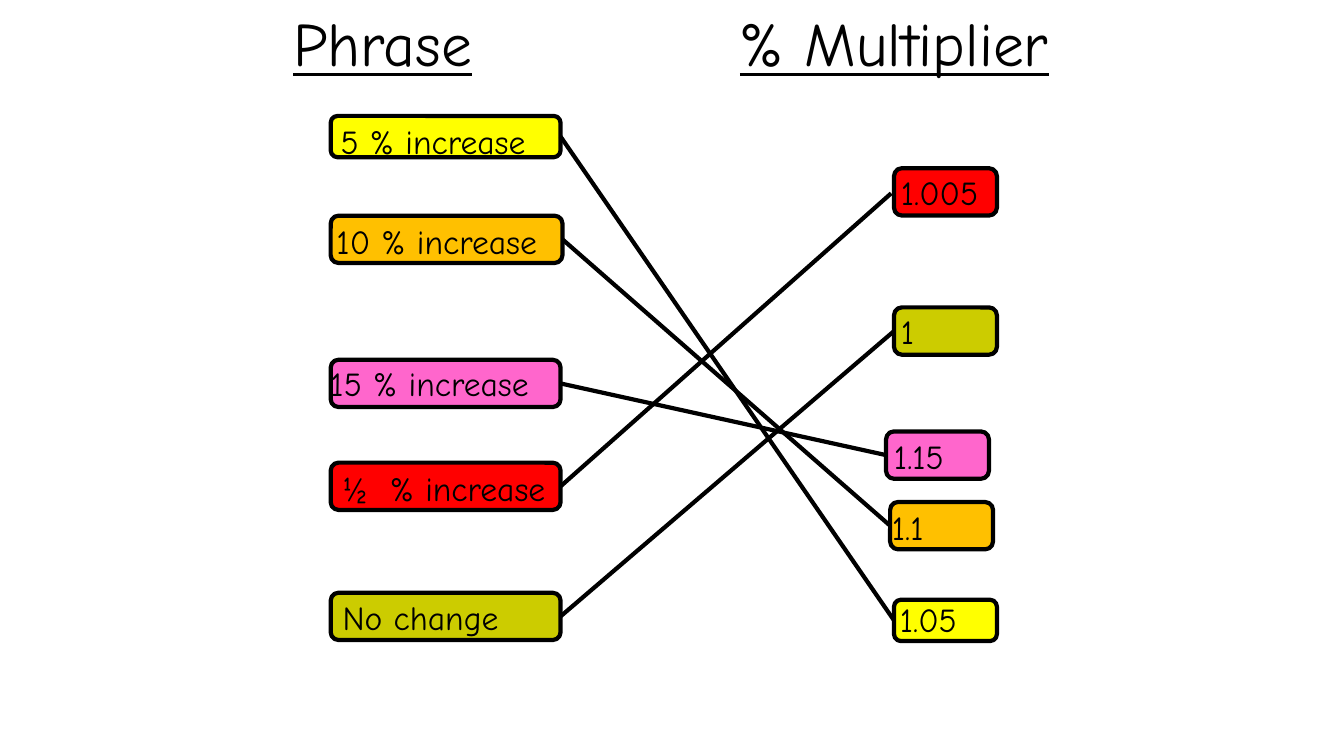
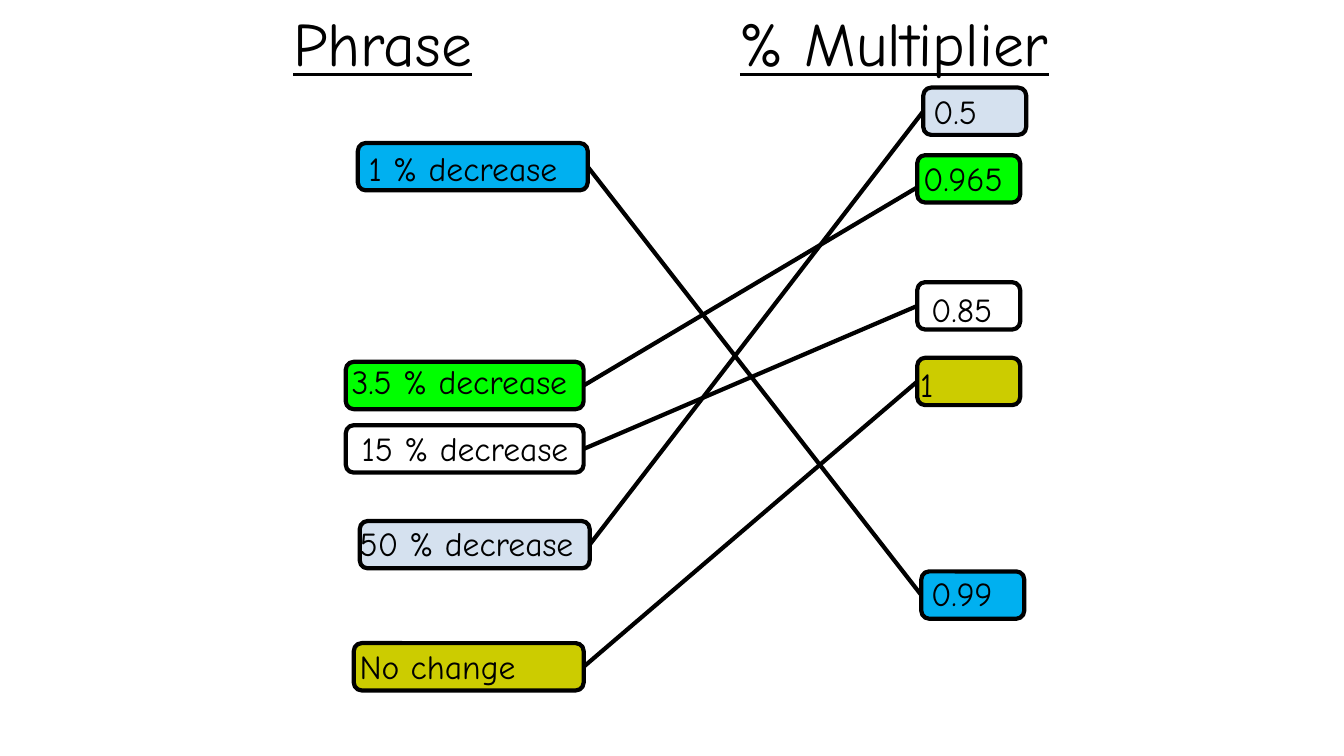
"""Builds two slides that match percentage phrases to their multipliers."""
from dataclasses import dataclass

from lxml import etree
from pptx import Presentation
from pptx import util as u
from pptx.dml.color import RGBColor
from pptx.enum import shapes, text
from pptx.oxml.ns import qn


@dataclass(frozen=True)
class Theme:
    font: str = "Comic Neue"
    ink: str = "000000"
    yellow: str = "FFFF00"
    orange: str = "FFC000"
    pink: str = "FF66CC"
    red: str = "FF0000"
    olive: str = "CCCC00"
    blue: str = "00B0F0"
    green: str = "00FF00"
    pale: str = "D5E1EF"
    heading_size: float = 44
    label_size: float = 24
    line_width: float = 3


@dataclass(frozen=True)
class Card:
    wording: str
    left: float
    top: float
    nudge: tuple = (0, 0)
    width: float = 164.2
    height: float = 33.8


@dataclass(frozen=True)
class Answer(Card):
    width: float = 73.5


@dataclass(frozen=True)
class Pair:
    fill: str | None
    phrase: Card
    answer: Answer
    end_shift: tuple | None = None


THEME = Theme()
PHRASE_LEFT = 236.2
ANSWER_LEFT = 638.6
WIDE = 169.9
SHORT = 29.5

INCREASES = [
    Pair(THEME.yellow,
         Card("5 % increase", PHRASE_LEFT, 82.8, height=SHORT),
         Answer("1.05", ANSWER_LEFT, 428.4, (-2.9, -4.3), height=SHORT)),
    Pair(THEME.orange,
         Card("10 % increase", PHRASE_LEFT, 154.1, (-2.9, 0), 165.6),
         Answer("1.1", 635.8, 358.6, (-5.8, 0))),
    Pair(THEME.pink,
         Card("15 % increase", PHRASE_LEFT, 257, (-7.2, -1.4)),
         Answer("1.15", 632.9, 308.2, (-1.4, -0.7))),
    Pair(THEME.red,
         Card("½  % increase", PHRASE_LEFT, 330.5, (1.4, 0)),
         Answer("1.005", ANSWER_LEFT, 120.2, (-2.2, -0.7)), (-2, 1)),
    Pair(THEME.olive,
         Card("No change", PHRASE_LEFT, 423.4, (1.4, -0.7)),
         Answer("1", ANSWER_LEFT, 219.6, (-2.2, -1.4))),
]

DECREASES = [
    Pair(THEME.blue,
         Card("1 % decrease", 255.6, 102.2, (0.7, 0)),
         Answer("0.99", 658.1, 408.2, (0, -2.2))),
    Pair(THEME.green,
         Card("3.5 % decrease", 247, 258.5, (-2.9, -4.3), WIDE),
         Answer("0.965", 655.2, 110.9, (-2.9, -1.4)), (0, 6)),
    Pair(None,
         Card("15 % decrease", 247, 303.8, (4.3, -1.4), WIDE),
         Answer("0.85", 655.2, 201.6, (2.9, 1.4))),
    Pair(THEME.pale,
         Card("50 % decrease", 257, 372.2, (-7.2, -2.2)),
         Answer("0.5", 659.5, 62.6, (0, -1.4))),
    Pair(THEME.olive,
         Card("No change", 252.7, 459.4, (-2.9, -1.4)),
         Answer("1", 655.2, 255.6, (-5, 0.7))),
]


def add_run(paragraph, wording, *, size, color=THEME.ink, font=THEME.font, underline=None):
    """Appends one formatted run to a paragraph."""
    run = paragraph.add_run()
    run.text = wording
    run.font.name = font
    run.font.size = u.Pt(size)
    run.font.underline = underline
    run.font.color.rgb = RGBColor.from_string(color)


class Deck:
    RIGHT_SITE = 3
    LEFT_SITE = 1

    def __init__(self, theme):
        self.theme = theme
        self.presentation = Presentation()
        self.presentation.slide_width = u.Pt(960)
        self.presentation.slide_height = u.Pt(540)
        self.slide = None

    def new_slide(self):
        self.slide = self.presentation.slides.add_slide(self.presentation.slide_layouts[6])

    def text_box(self, left, top, width, height):
        box = self.slide.shapes.add_textbox(u.Pt(left), u.Pt(top), u.Pt(width), u.Pt(height))
        box.text_frame.word_wrap = True
        box.text_frame.auto_size = text.MSO_AUTO_SIZE.SHAPE_TO_FIT_TEXT
        return box.text_frame.paragraphs[0]

    def heading(self, phrase_title, answer_title):
        paragraph = self.text_box(202.3, 0, 601.2, 60.5)
        properties = paragraph._p.get_or_add_pPr()
        tabs = etree.SubElement(properties, qn("a:tabLst"))
        etree.SubElement(tabs, qn("a:tab"), pos=str(u.Pt(319)), algn="l")
        size = self.theme.heading_size
        add_run(paragraph, phrase_title, size=size, underline=True)
        add_run(paragraph, "\t", size=size, underline=False)
        add_run(paragraph, answer_title, size=size, underline=True)

    def outline(self, line):
        line.color.rgb = RGBColor.from_string(self.theme.ink)
        line.width = u.Pt(self.theme.line_width)

    def card(self, card, fill):
        shape = self.slide.shapes.add_shape(
            shapes.MSO_SHAPE.ROUNDED_RECTANGLE,
            u.Pt(card.left), u.Pt(card.top), u.Pt(card.width), u.Pt(card.height))
        shape.shadow.inherit = False
        if fill:
            shape.fill.solid()
            shape.fill.fore_color.rgb = RGBColor.from_string(fill)
        else:
            shape.fill.background()
        self.outline(shape.line)
        return shape

    def label(self, card):
        across, down = card.nudge
        paragraph = self.text_box(card.left + across, card.top + down, 198.7, 36.7)
        add_run(paragraph, card.wording, size=self.theme.label_size)

    def link(self, start, end, end_shift):
        across, down = end_shift or (0, 0)
        connector = self.slide.shapes.add_connector(
            shapes.MSO_CONNECTOR.STRAIGHT,
            start.left + start.width, start.top + start.height // 2,
            end.left + u.Pt(across), end.top + end.height // 2 + u.Pt(down))
        connector.begin_connect(start, self.RIGHT_SITE)
        if end_shift is None:
            connector.end_connect(end, self.LEFT_SITE)
        self.outline(connector.line)
        etree.SubElement(connector._element.spPr, qn("a:effectLst"))

    def pair(self, pair):
        phrase = self.card(pair.phrase, pair.fill)
        answer = self.card(pair.answer, pair.fill)
        self.link(phrase, answer, pair.end_shift)
        self.label(pair.phrase)
        self.label(pair.answer)


def main():
    deck = Deck(THEME)
    for pairs in (INCREASES, DECREASES):
        deck.new_slide()
        deck.heading("Phrase", "% Multiplier")
        for pair in pairs:
            deck.pair(pair)
    deck.presentation.save("out.pptx")


if __name__ == "__main__":
    main()
